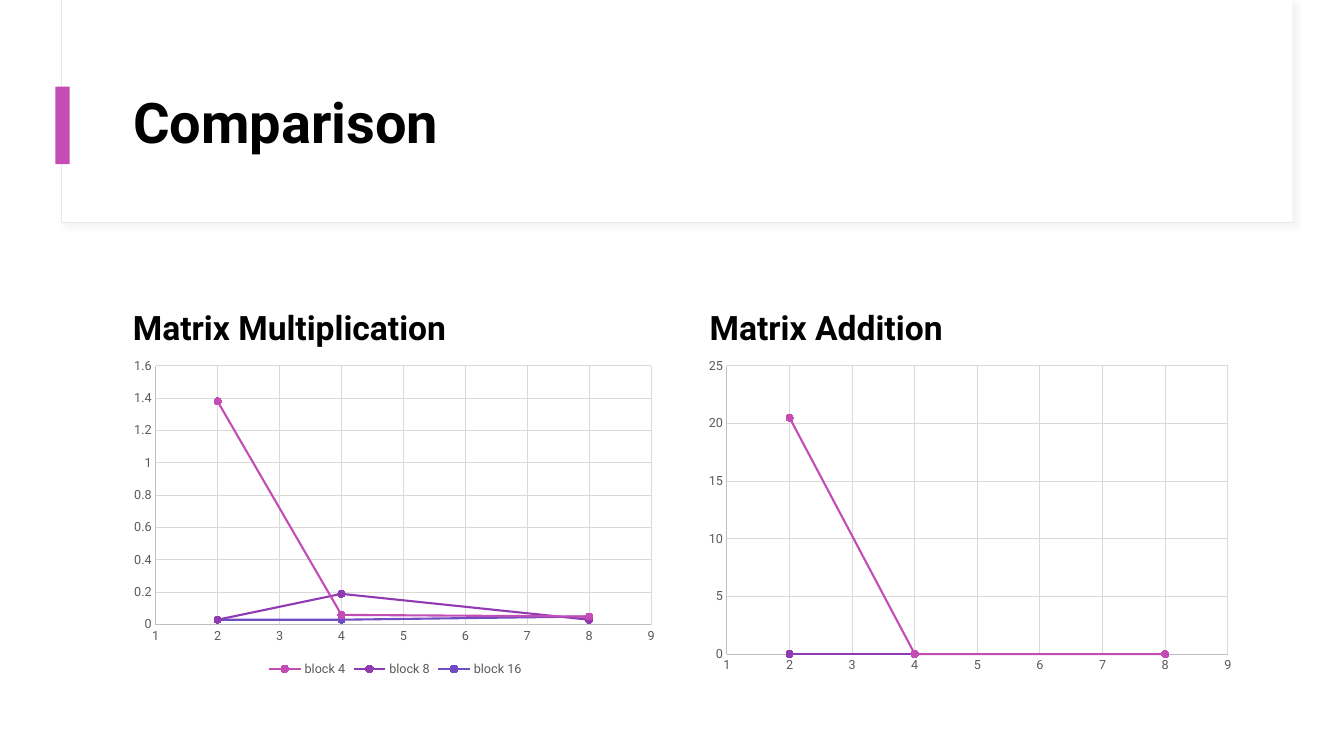
import pptx
import pptx.chart.data
import pptx.dml.color
import pptx.enum.chart
import pptx.enum.shapes
import pptx.enum.text
import pptx.oxml
import pptx.oxml.ns
import pptx.util
from pptx.util import Inches

RGBColor = pptx.dml.color.RGBColor
WHITE = RGBColor(0xFF, 0xFF, 0xFF)
BLACK = RGBColor(0, 0, 0)
PINK = RGBColor(0xC3, 0x4D, 0xB4)
PURPLE = RGBColor(0x90, 0x3B, 0xB1)
VIOLET = RGBColor(0x70, 0x4D, 0xC3)
PANEL_EDGE = RGBColor(0xE3, 0xE9, 0xEF)
GRID = RGBColor(0xD9, 0xD9, 0xD9)
AXIS = RGBColor(0xBF, 0xBF, 0xBF)
LABEL = RGBColor(0x59, 0x59, 0x59)
FONT = "Roboto"

MATRIX_SIZES = (2, 4, 8)
COLUMN_LEFTS = (1.22, 6.94)
COLUMN_WIDTH = 5.4


def format_font(font, size, color, bold=False):
    font.name = FONT
    font.size = pptx.util.Pt(size)
    font.bold = bold
    font.color.rgb = color


def write_text(frame, text, size=24, color=BLACK, bold=True, anchor="MIDDLE", spacing=1.0):
    frame.word_wrap = True
    frame.auto_size = pptx.enum.text.MSO_AUTO_SIZE.NONE
    frame.vertical_anchor = pptx.enum.text.MSO_ANCHOR[anchor]
    para = frame.paragraphs[0]
    para.alignment = pptx.enum.text.PP_ALIGN.LEFT
    para.line_spacing = spacing
    span = para.add_run()
    span.text = text
    format_font(span.font, size, color, bold)


def format_line(line, color, width=0.75):
    line.color.rgb = color
    line.width = pptx.util.Pt(width)


class ComparisonSlide:
    series_colors = (PINK, PURPLE, VIOLET)

    def __init__(self, deck):
        self.page = deck.slides.add_slide(deck.slide_layouts[5])
        self.shapes = self.page.shapes

    def rectangle(self, left, top, width, height, fill, edge=None, shadow=False):
        shape = self.shapes.add_shape(
            pptx.enum.shapes.MSO_SHAPE.RECTANGLE,
            Inches(left), Inches(top), Inches(width), Inches(height))
        shape.shadow.inherit = False
        shape.fill.solid()
        shape.fill.fore_color.rgb = fill
        if edge is None:
            shape.line.fill.background()
        else:
            format_line(shape.line, edge)
        if shadow:
            effects = shape._element.spPr.find(pptx.oxml.ns.qn("a:effectLst"))
            effects.append(pptx.oxml.parse_xml(
                f'<a:outerShdw {pptx.oxml.ns.nsdecls("a")} blurRad="50800" dist="38100" dir="2700000">'
                f'<a:srgbClr val="{GRID}"><a:alpha val="30000"/></a:srgbClr></a:outerShdw>'))

    def title(self, text, left, top, width, height):
        box = self.shapes.title
        box.left, box.top = Inches(left), Inches(top)
        box.width, box.height = Inches(width), Inches(height)
        write_text(box.text_frame, text, size=40, spacing=0.9)
        # Bring the title in front of the panel
        self.shapes._spTree.append(box._element)

    def heading(self, text, left):
        box = self.shapes.add_textbox(
            Inches(left), Inches(2.59), Inches(COLUMN_WIDTH), Inches(0.9))
        write_text(box.text_frame, text, anchor="BOTTOM", spacing=1.1)

    def scatter(self, left, series, top_value, step, plot, legend):
        data = pptx.chart.data.XyChartData()
        for name, values in series.items():
            points = data.add_series(name)
            for size, value in zip(MATRIX_SIZES, values):
                points.add_data_point(size, value)
        chart = self.shapes.add_chart(
            pptx.enum.chart.XL_CHART_TYPE.XY_SCATTER_LINES,
            Inches(left), Inches(3.5), Inches(COLUMN_WIDTH), Inches(3.25), data).chart
        format_font(chart.font, 10, BLACK)
        chart.has_title = False
        chart.has_legend = legend
        if legend:
            chart.legend.position = pptx.enum.chart.XL_LEGEND_POSITION.BOTTOM
            chart.legend.include_in_layout = False
            format_font(chart.legend.font, 9, LABEL)
        self.axis(chart.category_axis, 1, 9, 1)
        self.axis(chart.value_axis, 0, top_value, step)
        chart.plots[0].vary_by_categories = False
        for line, color in zip(chart.plots[0].series, self.series_colors):
            line.smooth = False
            format_line(line.format.line, color, 1.5)
            line.marker.style = pptx.enum.chart.XL_MARKER_STYLE.CIRCLE
            line.marker.size = 5
            line.marker.format.fill.solid()
            line.marker.format.fill.fore_color.rgb = color
            format_line(line.marker.format.line, color)
        self.place_plot(chart, plot)

    def axis(self, axis, low, high, step):
        axis.minimum_scale, axis.maximum_scale, axis.major_unit = low, high, step
        axis.major_tick_mark = pptx.enum.chart.XL_TICK_MARK.NONE
        axis.minor_tick_mark = pptx.enum.chart.XL_TICK_MARK.NONE
        axis.has_major_gridlines = True
        format_line(axis.major_gridlines.format.line, GRID)
        format_line(axis.format.line, AXIS)
        axis.tick_labels.number_format = "General"
        axis.tick_labels.number_format_is_linked = False
        format_font(axis.tick_labels.font, 9, LABEL)

    def place_plot(self, chart, plot):
        """Fix the inner plot area as fractions of the chart."""
        area = chart._chartSpace.chart.plotArea
        for layout in area.findall(pptx.oxml.ns.qn("c:layout")):
            area.remove(layout)
        sizes = "".join(f'<c:{key} val="{value}"/>' for key, value in zip("xywh", plot))
        area.insert(0, pptx.oxml.parse_xml(
            f'<c:layout {pptx.oxml.ns.nsdecls("c")}><c:manualLayout>'
            '<c:layoutTarget val="inner"/><c:xMode val="edge"/><c:yMode val="edge"/>'
            f'{sizes}</c:manualLayout></c:layout>'))


def main():
    deck = pptx.Presentation()
    deck.slide_width, deck.slide_height = Inches(13.33), Inches(7.5)
    slide = ComparisonSlide(deck)

    # Title panel with accent bar
    slide.rectangle(0.61, 0, 12.21, 2.21, WHITE, edge=PANEL_EDGE, shadow=True)
    slide.rectangle(0.62, 0, 12.2, 2.2, WHITE)
    slide.rectangle(0.55, 0.86, 0.14, 0.77, PINK)
    slide.title("Comparison", 1.22, 0.6, 11.12, 1.29)

    # Column headings
    for text, left in zip(("Matrix Multiplication", "Matrix Addition"), COLUMN_LEFTS):
        slide.heading(text, left)

    # Charts
    multiplication = {
        "block 4": (1.38, 0.06, 0.05),
        "block 8": (0.03, 0.19, 0.03),
        "block 16": (0.03, 0.03, 0.05),
    }
    addition = {
        "Series 1": (20.5, 0, 0),
        "Series 2": (0, 0, 0),
        "Series 3": (0, 0, 0),
    }
    slide.scatter(COLUMN_LEFTS[0], multiplication, 1.6, 0.2, (0.06, 0.04, 0.91, 0.79), True)
    slide.scatter(COLUMN_LEFTS[1], addition, 25, 5, (0.05, 0.04, 0.92, 0.88), False)

    deck.save("out.pptx")


if __name__ == "__main__":
    main()
